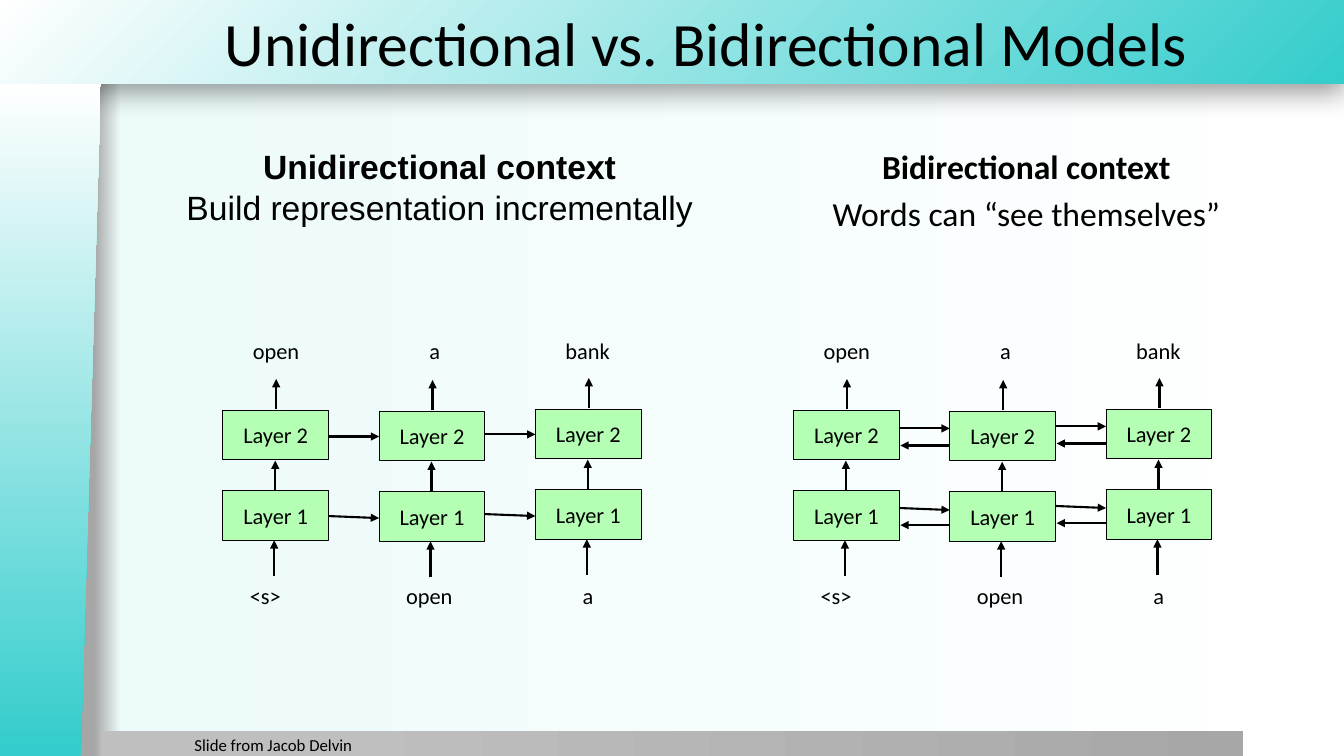
"""Build the slide comparing unidirectional and bidirectional models."""
from dataclasses import dataclass
from typing import Optional

from lxml import etree
from pptx import Presentation
from pptx import util as u
from pptx.dml.color import RGBColor
from pptx.enum import shapes, text
from pptx.oxml import parse_xml
from pptx.oxml.ns import nsdecls, qn

PX = 9144
BLACK = RGBColor(0x00, 0x00, 0x00)
WHITE = RGBColor(0xFF, 0xFF, 0xFF)
TEAL = RGBColor(0x34, 0xCC, 0xCC)
MIST = RGBColor(0xED, 0xFB, 0xFB)
GREEN = RGBColor(0xB5, 0xFF, 0xB5)
LIGHT_GREY = RGBColor(0xBF, 0xBF, 0xBF)
MID_GREY = RGBColor(0xA7, 0xA7, 0xA7)
EDGE_GREY = RGBColor(0xA6, 0xA6, 0xA6)

BOX_W, BOX_H = 105, 49
COLUMN_STEP, LAYER_STEP = 155, 79
COLUMN_SHIFTS = (0, 1, -1)
LAYER_TOPS = (("Layer 2", 407), ("Layer 1", 487))
LINEAR = '<a:lin ang="0" scaled="0"/>'
CORNER = '<a:path path="circle"><a:fillToRect l="100000" t="100000"/></a:path>'


@dataclass(frozen=True)
class Model:
    left: int
    text_left: int
    heading: str
    summary: str
    font: str
    gap: float
    forward: int
    backward: Optional[int] = None


@dataclass(frozen=True)
class WordRow:
    dx: int
    top: int
    width: int
    words: tuple[str, ...]
    stops: tuple[int, ...]


@dataclass(frozen=True)
class UpArrow:
    dx: int
    start: int
    end: int


MODELS = (
    Model(221, 172, "Unidirectional context", "Build representation incrementally",
          "Arial", 0, 433),
    Model(787, 754, "Bidirectional context", "Words can “see themselves”",
          "Calibri", 4.8, 425, 442),
)
WORD_ROWS = (
    WordRow(20, 330, 394, ("open", "a", "bank"), (175, 310)),
    WordRow(17, 573, 410, ("<s>", "open", "a"), (155, 330)),
)
UP_ARROWS = (UpArrow(51, 571, 536), UpArrow(52, 487, 457), UpArrow(53, 406, 376))


def set_gradient(owner, fill, stops, direction: str) -> None:
    fill.gradient()
    old = next(owner.element.iter(qn("a:gradFill")))
    marks = "".join(f'<a:gs pos="{pos * 1000}"><a:srgbClr val="{color}"/></a:gs>'
                    for pos, color in stops)
    old.getparent().replace(old, parse_xml(
        f'<a:gradFill {nsdecls("a")} rotWithShape="1"><a:gsLst>{marks}</a:gsLst>'
        f'{direction}</a:gradFill>'))


def add_panel(s, kind, x: int, y: int, w: int, h: int):
    sp = s.shapes.add_shape(kind, x * PX, y * PX, w * PX, h * PX)
    sp.shadow.inherit = False
    sp.line.fill.background()
    return sp


def add_text(p, words: str, *, size: float, font: str = "Calibri", bold: bool = False,
             align=text.PP_ALIGN.LEFT, before: float = 0, stops: tuple[int, ...] = ()) -> None:
    p.alignment = align
    p.space_before = u.Pt(before)
    if stops:
        tabs = etree.SubElement(p._p.get_or_add_pPr(), qn("a:tabLst"))
        for stop in stops:
            etree.SubElement(tabs, qn("a:tab"), pos=str(stop * PX), algn="l")
    r = p.add_run()
    r.text = words
    r.font.name, r.font.size, r.font.bold = font, u.Pt(size), bold
    r.font.color.rgb = BLACK


def add_box(s, x: int, y: int, w: int, h: int):
    tf = s.shapes.add_textbox(x * PX, y * PX, w * PX, h * PX).text_frame
    tf.word_wrap = True
    return tf


def add_arrow(s, x1: int, y1: int, x2: int, y2: int) -> None:
    c = s.shapes.add_connector(shapes.MSO_CONNECTOR.STRAIGHT,
                               x1 * PX, y1 * PX, x2 * PX, y2 * PX)
    c.line.color.rgb = BLACK
    c.line.width = u.Pt(1.5)
    ln = next(c.element.iter(qn("a:ln")))
    etree.SubElement(ln, qn("a:tailEnd"), type="triangle")
    etree.SubElement(ln.getparent(), qn("a:effectLst"))


def add_layer(s, name: str, x: int, y: int) -> None:
    sp = add_panel(s, shapes.MSO_SHAPE.RECTANGLE, x, y, BOX_W, BOX_H)
    sp.fill.solid()
    sp.fill.fore_color.rgb = GREEN
    sp.line.color.rgb = BLACK
    sp.line.width = u.Pt(0.75)
    sp.text_frame.vertical_anchor = text.MSO_ANCHOR.MIDDLE
    add_text(sp.text_frame.paragraphs[0], name, size=16, align=text.PP_ALIGN.CENTER)


def add_backdrop(s) -> None:
    set_gradient(s, s.background.fill, ((7, EDGE_GREY), (9, MIST), (100, WHITE)), LINEAR)
    band = add_panel(s, shapes.MSO_SHAPE.RECTANGLE, -1, 0, 1334, 83)
    set_gradient(band, band.fill, ((0, TEAL), (100, WHITE)), CORNER)
    next(band.element.iter(qn("a:effectLst"))).append(parse_xml(
        f'<a:outerShdw {nsdecls("a")} blurRad="{u.Pt(20)}" dist="{u.Pt(6)}" dir="5400000" '
        f'algn="t" rotWithShape="0"><a:srgbClr val="{BLACK}"><a:alpha val="40000"/>'
        '</a:srgbClr></a:outerShdw>'))
    footer = add_panel(s, shapes.MSO_SHAPE.RECTANGLE, 100, 725, 1133, 26)
    set_gradient(footer, footer.fill, ((20, LIGHT_GREY), (100, MID_GREY)), LINEAR)
    side = add_panel(s, shapes.MSO_SHAPE.FLOWCHART_MANUAL_INPUT, -284, 367, 668, 100)
    set_gradient(side, side.fill, ((1, TEAL), (100, WHITE)), LINEAR)
    side.rotation = 270
    next(side.element.iter(qn("a:xfrm"))).set("flipV", "1")
    for sp in (band, footer, side):
        s.shapes.title.element.addprevious(sp.element)


def add_title(s, words: str) -> None:
    title = s.shapes.title
    title.left, title.top, title.width, title.height = (
        n * PX for n in (172, 0, 1162, 83))
    tf = title.text_frame
    tf.auto_size = text.MSO_AUTO_SIZE.NONE
    tf.word_wrap = True
    tf.vertical_anchor = text.MSO_ANCHOR.MIDDLE
    tf.margin_left = 51 * PX
    add_text(tf.paragraphs[0], words, size=44)


def add_model(s, m: Model) -> None:
    tf = add_box(s, m.text_left, 140, 528, 98)
    style = dict(size=24, font=m.font, align=text.PP_ALIGN.CENTER)
    add_text(tf.paragraphs[0], m.heading, bold=True, **style)
    add_text(tf.add_paragraph(), m.summary, before=m.gap, **style)
    for row in WORD_ROWS:
        tf = add_box(s, m.left + row.dx, row.top, row.width, 37)
        add_text(tf.paragraphs[0], "\t".join(row.words), size=16, stops=row.stops)
    for i, shift in enumerate(COLUMN_SHIFTS):
        x = m.left + i * COLUMN_STEP
        for name, top in LAYER_TOPS:
            add_layer(s, name, x, top + shift)
        for a in UP_ARROWS:
            add_arrow(s, x + a.dx, a.start + shift, x + a.dx, a.end + shift)
    for i in range(len(COLUMN_SHIFTS) - 1):
        start = m.left + i * COLUMN_STEP + BOX_W
        end = m.left + (i + 1) * COLUMN_STEP
        for level in range(len(LAYER_TOPS)):
            drop = level * LAYER_STEP - 2 * i
            add_arrow(s, start, m.forward + drop, end, m.forward + drop + 2 * level)
            if m.backward is not None:
                add_arrow(s, end, m.backward + drop, start + 1, m.backward + drop)


def main() -> None:
    prs = Presentation()
    prs.slide_width, prs.slide_height = 1333 * PX, 750 * PX
    s = prs.slides.add_slide(prs.slide_layouts[5])
    add_backdrop(s)
    add_title(s, "Unidirectional vs. Bidirectional Models")
    for m in MODELS:
        add_model(s, m)
    add_text(add_box(s, 183, 724, 190, 30).paragraphs[0], "Slide from Jacob Delvin", size=12)
    prs.save("out.pptx")


if __name__ == "__main__":
    main()
